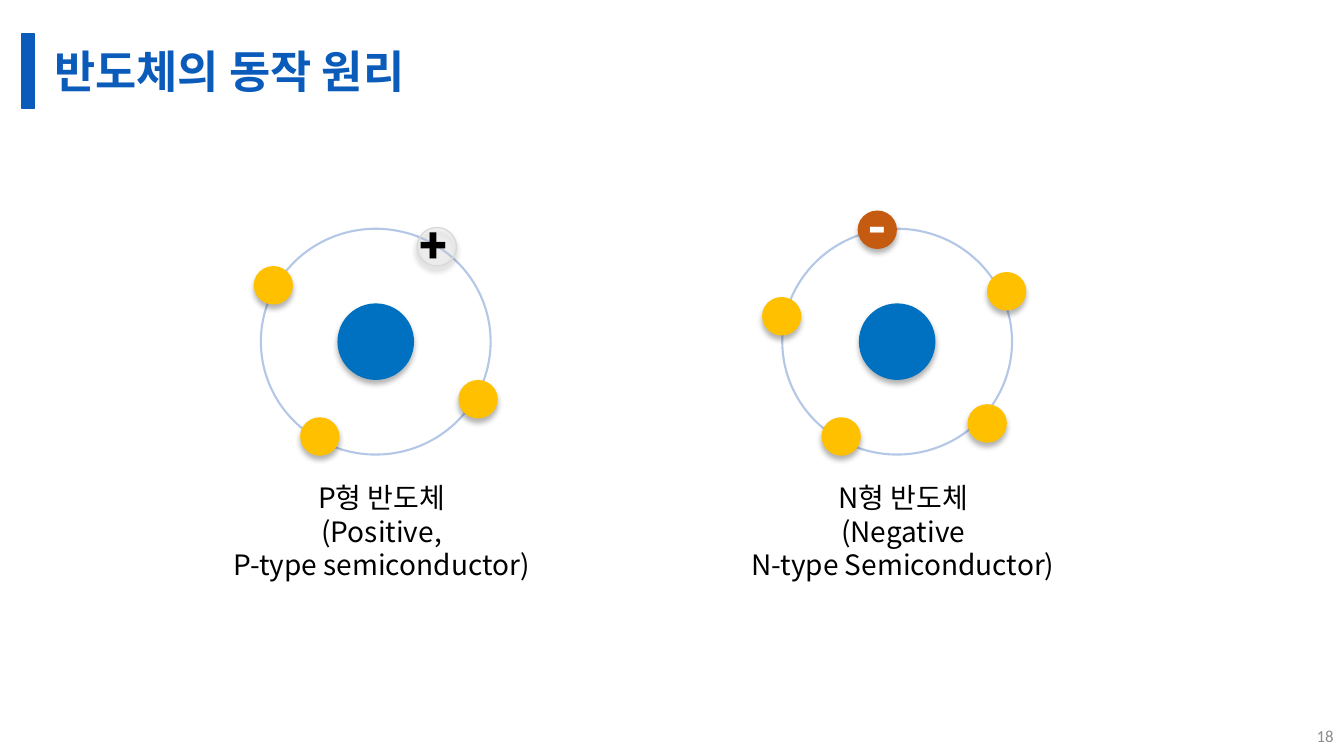
"""Build the slide comparing P-type and N-type semiconductors."""
import dataclasses
import typing

import lxml.etree
import pptx
import pptx.dml.color
import pptx.enum.shapes
import pptx.enum.text
import pptx.oxml.ns
import pptx.util

Cm = pptx.util.Cm
Pt = pptx.util.Pt
Align = pptx.enum.text.PP_ALIGN
Anchor = pptx.enum.text.MSO_ANCHOR
Preset = pptx.enum.shapes.MSO_SHAPE


@dataclasses.dataclass(frozen=True)
class Theme:
    title: str = "0A5BBA"
    number: str = "8C8C8C"
    nucleus: str = "0070C0"
    orbit: str = "B4C7E7"
    electron: str = "FFC000"
    extra: str = "C55A11"
    hole: str = "F2F2F2"
    hole_edge: str = "D9D9D9"
    dark: str = "000000"
    light: str = "FFFFFF"
    korean_font: str = "Noto Sans CJK KR"
    title_font: str = "Cabin"
    number_font: str = "Calibri"
    sign_font: str = "Roboto"
    title_size: int = 32
    sign_size: int = 36
    caption_size: int = 20
    number_size: int = 12


THEME = Theme()


class Point(typing.NamedTuple):
    x: float
    y: float


class Size(typing.NamedTuple):
    width: float
    height: float


@dataclasses.dataclass(frozen=True)
class Style:
    font: str
    size: int
    color: str
    bold: bool = False
    align: Align = Align.LEFT
    anchor: Anchor = Anchor.TOP
    wrap: bool = False
    line_spacing: float = 1.0
    bottom: float = 0.13


@dataclasses.dataclass(frozen=True)
class Carrier:
    place: Point
    sign: str
    sign_size: Size
    sign_color: str
    fill: str
    edge: str | None = None
    opacity: int = 100


@dataclasses.dataclass(frozen=True)
class Atom:
    center: Point
    electrons: tuple[Point, ...]
    carrier: Carrier
    caption: tuple[str, ...]


SLIDE = Size(33.87, 19.05)
NUCLEUS = Size(1.93, 1.93)
ORBIT = Size(5.79, 5.69)
ELECTRON = Size(0.99, 0.97)
CAPTION = Size(8.4, 2.82)
CAPTION_SHIFT = Point(0.15, 4.79)
SIGN_SHIFT = Point(0.02, -0.1)

TITLE_STYLE = Style(THEME.title_font, THEME.title_size, THEME.title, True,
                    anchor=Anchor.MIDDLE, wrap=True, line_spacing=0.9, bottom=0)
NUMBER_STYLE = Style(THEME.number_font, THEME.number_size, THEME.number,
                     align=Align.RIGHT, anchor=Anchor.MIDDLE, wrap=True)
CAPTION_STYLE = Style(THEME.korean_font, THEME.caption_size, THEME.dark, align=Align.CENTER)

ATOMS = (
    Atom(
        Point(9.47, 8.61),
        (Point(-2.58, -1.42), Point(-1.41, 2.39), Point(2.58, 1.45)),
        Carrier(Point(1.54, -2.39), "+", Size(1.42, 1.8), THEME.dark,
                THEME.hole, THEME.hole_edge, 28),
        ("P형 반도체", "(Positive,", "P-type semiconductor)"),
    ),
    Atom(
        Point(22.61, 8.61),
        (Point(-2.91, -0.64), Point(-1.41, 2.39), Point(2.27, 2.06), Point(2.76, -1.27)),
        Carrier(Point(-0.5, -2.82), "-", Size(1.04, 1.8), THEME.light, THEME.extra),
        ("N형 반도체", "(Negative", "N-type Semiconductor)"),
    ),
)


def assign(target: object, values: dict[str, object]) -> None:
    """Set every named attribute on the target."""
    for name, value in values.items():
        setattr(target, name, value)


def rgb(color: str) -> pptx.dml.color.RGBColor:
    """Return the colour object for a hex string."""
    return pptx.dml.color.RGBColor.from_string(color)


def add_node(parent, tag: str, **attributes: str):
    """Append a drawing element and return it."""
    return lxml.etree.SubElement(parent, pptx.oxml.ns.qn(tag), attributes)


def shift(start: Point, step: Point) -> Point:
    """Return the point moved by a step."""
    return Point(start.x + step.x, start.y + step.y)


def corner(center: Point, size: Size) -> Point:
    """Return the top left corner of a centred box."""
    return Point(center.x - size.width / 2, center.y - size.height / 2)


def draw_shape(page, preset: Preset, at: Point, size: Size, fill: str | None = None,
               edge: str | None = None, weight: float = 1, shadow: bool = False,
               opacity: int = 100) -> None:
    """Draw a preset shape with its fill, outline and shadow."""
    shape = page.shapes.add_shape(preset, *map(Cm, (*at, *size)))
    shape.shadow.inherit = False
    if fill:
        shape.fill.solid()
        shape.fill.fore_color.rgb = rgb(fill)
        if opacity < 100:
            color = shape.element.spPr.find(".//" + pptx.oxml.ns.qn("a:srgbClr"))
            add_node(color, "a:alpha", val=str(opacity * 1000))
    else:
        shape.fill.background()
    if edge:
        shape.line.color.rgb = rgb(edge)
        shape.line.width = Pt(weight)
    else:
        shape.line.fill.background()
    if shadow:
        effects = shape.element.spPr.find(pptx.oxml.ns.qn("a:effectLst"))
        outer = add_node(effects, "a:outerShdw", blurRad=str(Pt(4)), dist=str(Pt(3)),
                         dir="5400000", algn="t", rotWithShape="0")
        add_node(add_node(outer, "a:srgbClr", val=THEME.dark), "a:alpha", val="30000")


def draw_text(page, at: Point, size: Size, lines: tuple[str, ...], style: Style) -> None:
    """Draw a text box with one paragraph per line."""
    box = page.shapes.add_textbox(*map(Cm, (*at, *size)))
    assign(box.text_frame, {"word_wrap": style.wrap, "vertical_anchor": style.anchor,
                            "margin_bottom": Cm(style.bottom)})
    box.text_frame.text = "\n".join(lines)
    for para in box.text_frame.paragraphs:
        assign(para, {"alignment": style.align, "line_spacing": style.line_spacing})
        for span in para.runs:
            assign(span.font, {"name": style.font, "size": Pt(style.size), "bold": style.bold})
            span.font.color.rgb = rgb(style.color)
            add_node(span.font._element, "a:ea", typeface=THEME.korean_font)


def draw_atom(page, atom: Atom) -> None:
    """Draw one atom with its electrons, charge carrier and caption."""
    oval = Preset.OVAL
    carrier = atom.carrier
    draw_shape(page, oval, corner(atom.center, NUCLEUS), NUCLEUS, THEME.nucleus, shadow=True)
    draw_shape(page, oval, corner(atom.center, ORBIT), ORBIT, edge=THEME.orbit, weight=1.5)
    for electron in atom.electrons:
        draw_shape(page, oval, corner(shift(atom.center, electron), ELECTRON), ELECTRON,
                   THEME.electron, shadow=True)
    place = shift(atom.center, carrier.place)
    draw_shape(page, oval, corner(place, ELECTRON), ELECTRON, carrier.fill, carrier.edge,
               shadow=True, opacity=carrier.opacity)
    draw_text(page, corner(shift(place, SIGN_SHIFT), carrier.sign_size), carrier.sign_size,
              (carrier.sign,), Style(THEME.sign_font, THEME.sign_size, carrier.sign_color, True))
    middle = shift(atom.center, CAPTION_SHIFT)
    draw_text(page, corner(middle, CAPTION), CAPTION, atom.caption, CAPTION_STYLE)


def main() -> None:
    """Build and save the deck."""
    deck = pptx.Presentation()
    assign(deck, {"slide_width": Cm(SLIDE.width), "slide_height": Cm(SLIDE.height)})
    page = deck.slides.add_slide(deck.slide_layouts[6])
    draw_shape(page, Preset.RECTANGLE, Point(0.56, 0.84), Size(0.3, 1.9), THEME.title, THEME.title)
    draw_text(page, Point(1.12, 0.84), Size(31.62, 1.9), ("반도체의 동작 원리",), TITLE_STYLE)
    draw_text(page, Point(32.74, 18.03), Size(1.12, 1.02), ("18",), NUMBER_STYLE)
    for atom in ATOMS:
        draw_atom(page, atom)
    deck.save("out.pptx")


if __name__ == "__main__":
    main()
